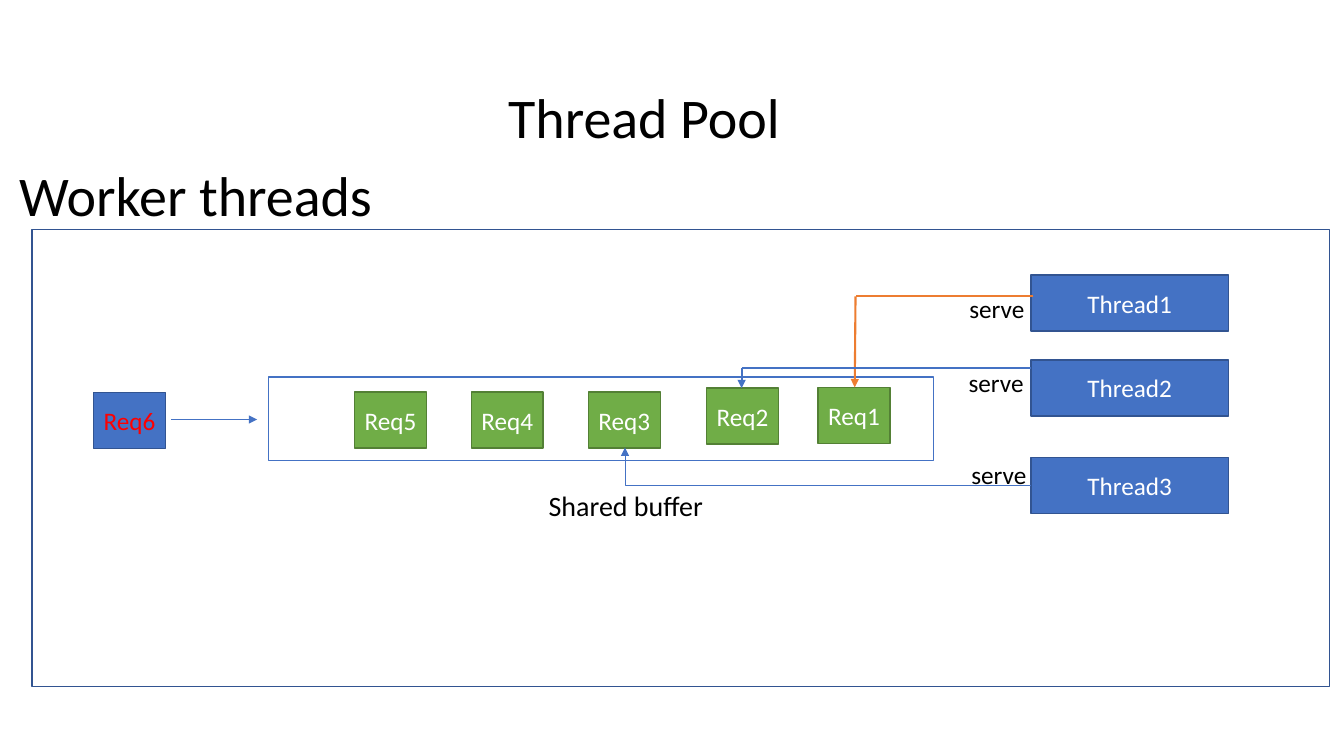
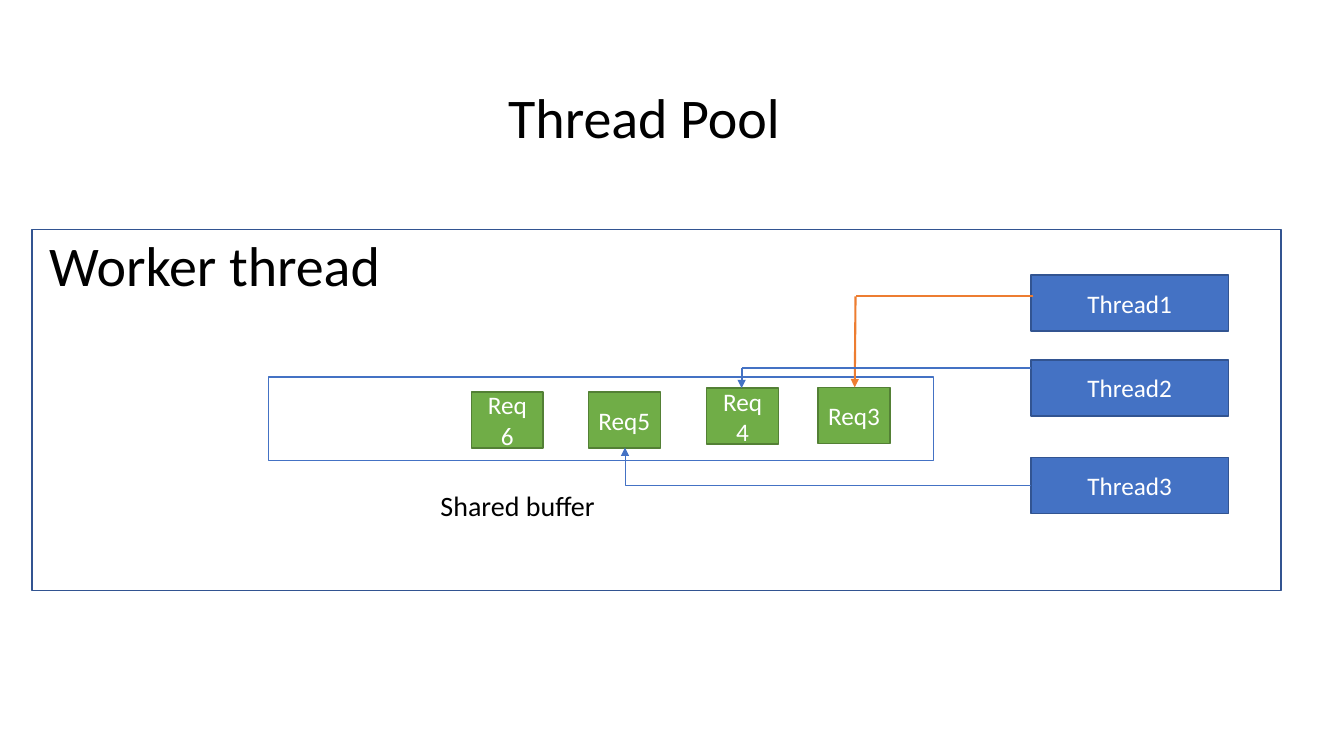
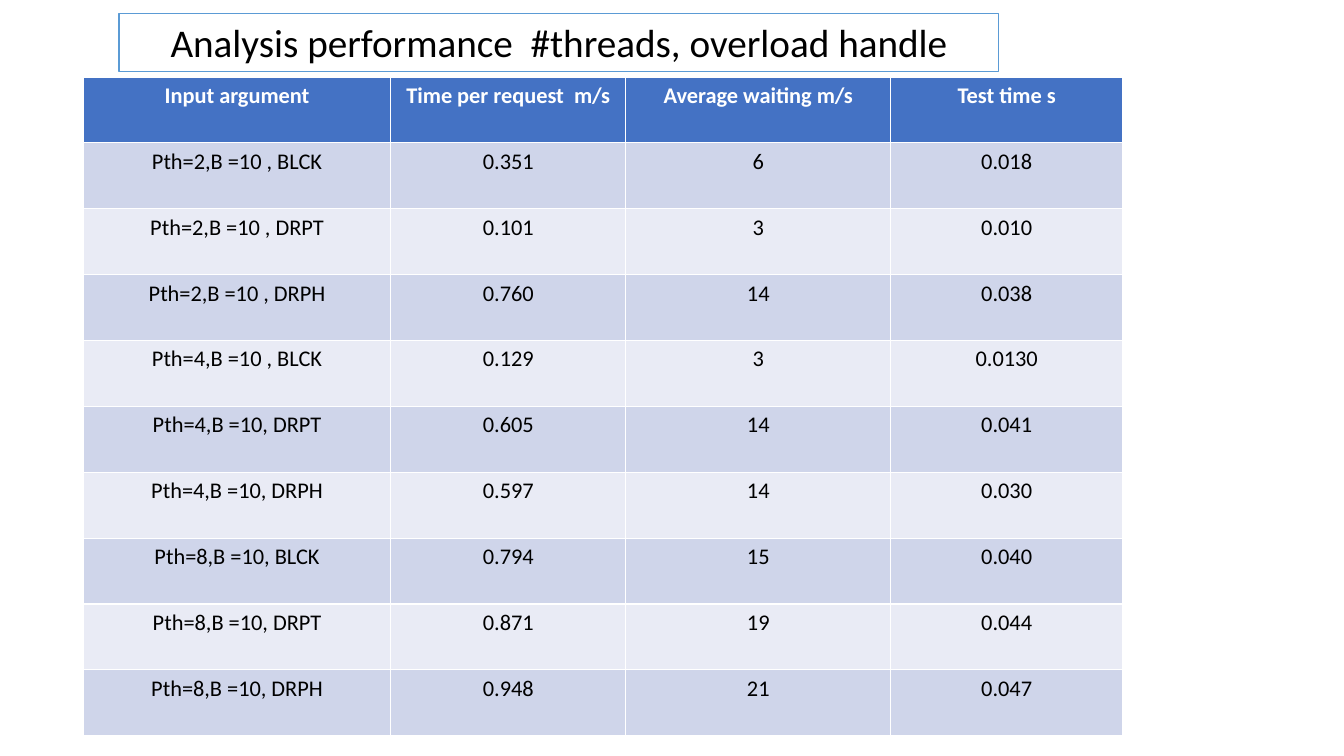
from dataclasses import dataclass

from pptx import Presentation
from pptx.dml.color import RGBColor
from pptx.enum.shapes import MSO_CONNECTOR, MSO_SHAPE
from pptx.enum.text import MSO_ANCHOR, MSO_AUTO_SIZE, PP_ALIGN
from pptx.oxml.ns import qn
from pptx.util import Cm, Pt
from lxml.etree import SubElement


@dataclass(frozen=True)
class Theme:
    """Colours, font and type sizes of the deck."""
    font: str = "Calibri"
    black: RGBColor = RGBColor(0x00, 0x00, 0x00)
    white: RGBColor = RGBColor(0xFF, 0xFF, 0xFF)
    red: RGBColor = RGBColor(0xFF, 0x00, 0x00)
    blue: RGBColor = RGBColor(0x44, 0x72, 0xC4)
    dark_blue: RGBColor = RGBColor(0x32, 0x54, 0x91)
    light_blue: RGBColor = RGBColor(0x5B, 0x9B, 0xD5)
    green: RGBColor = RGBColor(0x70, 0xAD, 0x47)
    dark_green: RGBColor = RGBColor(0x53, 0x80, 0x35)
    orange: RGBColor = RGBColor(0xED, 0x7D, 0x31)
    bands: tuple = (RGBColor(0xCF, 0xD5, 0xEA), RGBColor(0xE9, 0xEB, 0xF5))
    heading: int = 40
    table_title: int = 28
    label: int = 20
    body: int = 18
    cell: int = 16


THEME = Theme()
TITLE_ONLY = 5

# Left and top of the places in the shared buffer, served end first, in cm
SLOTS = ((20.62, 9.76), (17.81, 9.78), (14.83, 9.88), (11.88, 9.88), (8.94, 9.88))
REQUEST_SIZE = (1.81, 1.41)
THREAD_LEFT = 25.98
THREAD_TOPS = (6.93, 9.07, 11.53)

COLUMN_WIDTHS = (7.75, 5.92, 6.68, 5.84)
ROW_HEIGHT = 1.66
RESULTS = (
    ("Input argument", "Time per request  m/s", "Average waiting m/s", "Test time s"),
    ("Pth=2,B =10 , BLCK", "0.351", "6", "0.018"),
    ("Pth=2,B =10 , DRPT", "0.101", "3", "0.010"),
    ("Pth=2,B =10 , DRPH", "0.760", "14", "0.038"),
    ("Pth=4,B =10 , BLCK", "0.129", "3", "0.0130"),
    ("Pth=4,B =10, DRPT", "0.605", "14", "0.041"),
    ("Pth=4,B =10, DRPH", "0.597", "14", "0.030"),
    ("Pth=8,B =10, BLCK", "0.794", "15", "0.040"),
    ("Pth=8,B =10, DRPT", "0.871", "19", "0.044"),
    ("Pth=8,B =10, DRPH", "0.948", "21", "0.047"),
)


def write(frame, text, size, color=THEME.black, align=PP_ALIGN.CENTER, bold=False):
    """Fill a text frame; each line of the text is a paragraph."""
    frame.text = text
    for para in frame.paragraphs:
        para.alignment = align
        para.font.name = THEME.font
        para.font.size = Pt(size)
        para.font.bold = bold
        para.font.color.rgb = color


def add_titled_slide(deck, title, place, size):
    """Add a title-only slide and put its title at the place given in cm."""
    slide = deck.slides.add_slide(deck.slide_layouts[TITLE_ONLY])
    box = slide.shapes.title
    box.left, box.top, box.width, box.height = map(Cm, place)
    frame = box.text_frame
    frame.auto_size = MSO_AUTO_SIZE.NONE
    frame.vertical_anchor = MSO_ANCHOR.TOP
    write(frame, title, size)
    return slide


def add_box(slide, place, line, fill=None, text="", color=THEME.white):
    """Add an outlined rectangle with optional fill and centred text."""
    box = slide.shapes.add_shape(MSO_SHAPE.RECTANGLE, *map(Cm, place))
    box.shadow.inherit = False
    box.line.color.rgb = line
    box.line.width = Pt(1)
    if fill is None:
        box.fill.background()
    else:
        box.fill.solid()
        box.fill.fore_color.rgb = fill
    if text:
        frame = box.text_frame
        frame.margin_left = frame.margin_right = 0
        frame.vertical_anchor = MSO_ANCHOR.MIDDLE
        write(frame, text, THEME.body, color)
    return box


def add_label(slide, text, place, size, align=PP_ALIGN.LEFT):
    """Add plain text at the place given in cm."""
    box = slide.shapes.add_textbox(*map(Cm, place))
    box.text_frame.word_wrap = True
    write(box.text_frame, text, size, align=align)


def add_line(slide, start, end, color, width, arrow=False, kind=MSO_CONNECTOR.STRAIGHT):
    """Add a connector, with an arrowhead at its end if asked for."""
    line = slide.shapes.add_connector(kind, *map(Cm, start + end))
    line.line.color.rgb = color
    line.line.width = Pt(width)
    properties = line._element.spPr
    if arrow:
        SubElement(properties.find(qn("a:ln")), qn("a:tailEnd"), type="triangle")
    SubElement(properties, qn("a:effectLst"))
    return line


def add_corner_arrow(slide, start, end, color, width):
    """Add an arrow that runs left from its start, then up to its end."""
    arrow = add_line(slide, end, start, color, width, True, MSO_CONNECTOR.ELBOW)
    properties = arrow._element.spPr
    properties.find(qn("a:prstGeom")).set("prst", "bentConnector2")
    properties.find(qn("a:xfrm")).set("rot", "10800000")


def add_pool_slide(deck, requests, frame_size):
    """Add a slide with the buffer, its requests and the serving threads."""
    slide = add_titled_slide(deck, "Thread Pool", (10.39, 1.96, 11.68, 1.96), THEME.heading)
    add_box(slide, (6.76, 9.5, 16.76, 2.11), THEME.blue, THEME.white)
    for request, slot in zip(requests, SLOTS):
        add_box(slide, slot + REQUEST_SIZE, THEME.dark_green, THEME.green, request)
    for number, top in enumerate(THREAD_TOPS, 1):
        add_box(slide, (THREAD_LEFT, top, 4.98, 1.41), THEME.dark_blue, THEME.blue,
                f"Thread{number}")
    for start, corner, end, color in (
        ((26.04, 7.47), (21.56, 7.47), (21.54, 9.76), THEME.orange),
        ((THREAD_LEFT, 9.27), (18.69, 9.27), (18.69, 9.78), THEME.blue),
    ):
        add_line(slide, start, corner, color, 1.5)
        add_line(slide, corner, end, color, 1.5, arrow=True)
    add_corner_arrow(slide, (THREAD_LEFT, 12.24), (15.75, 11.28), THEME.blue, 0.5)
    add_box(slide, (0.81, 5.79) + frame_size, THEME.dark_blue)
    return slide


def add_waiting_slide(deck):
    """Add the pool with a full buffer and one request waiting outside."""
    slide = add_pool_slide(deck, ("Req1", "Req2", "Req3", "Req4", "Req5"), (32.69, 11.51))
    add_box(slide, (2.36, 9.89) + REQUEST_SIZE, THEME.dark_blue, THEME.blue, "Req6", THEME.red)
    add_line(slide, (4.32, 10.57), (6.48, 10.57), THEME.blue, 0.5, arrow=True)
    add_label(slide, "Shared buffer", (12.24, 12.19, 7.06, 1.12), THEME.label, PP_ALIGN.CENTER)
    add_label(slide, "Worker threads", (-0.91, 3.91, 11.68, 1.96), THEME.heading,
              PP_ALIGN.CENTER)
    for left, top in ((24.18, 7.26), (24.16, 9.12), (24.23, 11.46)):
        add_label(slide, "serve", (left, top, 2.29, 1.02), THEME.body)


def add_served_slide(deck):
    """Add the pool after the first two requests have been served."""
    slide = add_pool_slide(deck, ("Req3", "Req\n4", "Req5", "Req\n6"), (31.47, 9.09))
    add_label(slide, "Shared buffer", (10.85, 12.19, 7.06, 1.12), THEME.label)
    add_label(slide, "Worker thread", (-0.43, 5.69, 11.68, 1.96), THEME.heading,
              PP_ALIGN.CENTER)


def add_results_slide(deck):
    """Add the table of measured times under its outlined title."""
    slide = add_titled_slide(deck, "Analysis performance  #threads, overload handle",
                             (3, 0.34, 22.17, 1.46), THEME.table_title)
    title = slide.shapes.title
    title.fill.solid()
    title.fill.fore_color.rgb = THEME.white
    title.line.color.rgb = THEME.light_blue
    title.line.width = Pt(1)
    place = (2.1, 1.94, sum(COLUMN_WIDTHS), ROW_HEIGHT * len(RESULTS))
    table = slide.shapes.add_table(len(RESULTS), len(COLUMN_WIDTHS), *map(Cm, place)).table
    for column, width in zip(table.columns, COLUMN_WIDTHS):
        column.width = Cm(width)
    for index, (row, values) in enumerate(zip(table.rows, RESULTS)):
        row.height = Cm(ROW_HEIGHT)
        header = index == 0
        for cell, value in zip(row.cells, values):
            cell.fill.solid()
            cell.fill.fore_color.rgb = THEME.blue if header else THEME.bands[(index - 1) % 2]
            write(cell.text_frame, value, THEME.cell,
                  THEME.white if header else THEME.black, bold=header)


def main():
    """Build the three slides and save the deck."""
    deck = Presentation()
    deck.slide_width, deck.slide_height = Cm(33.87), Cm(19.05)
    add_waiting_slide(deck)
    add_served_slide(deck)
    add_results_slide(deck)
    deck.save("out.pptx")


main()
